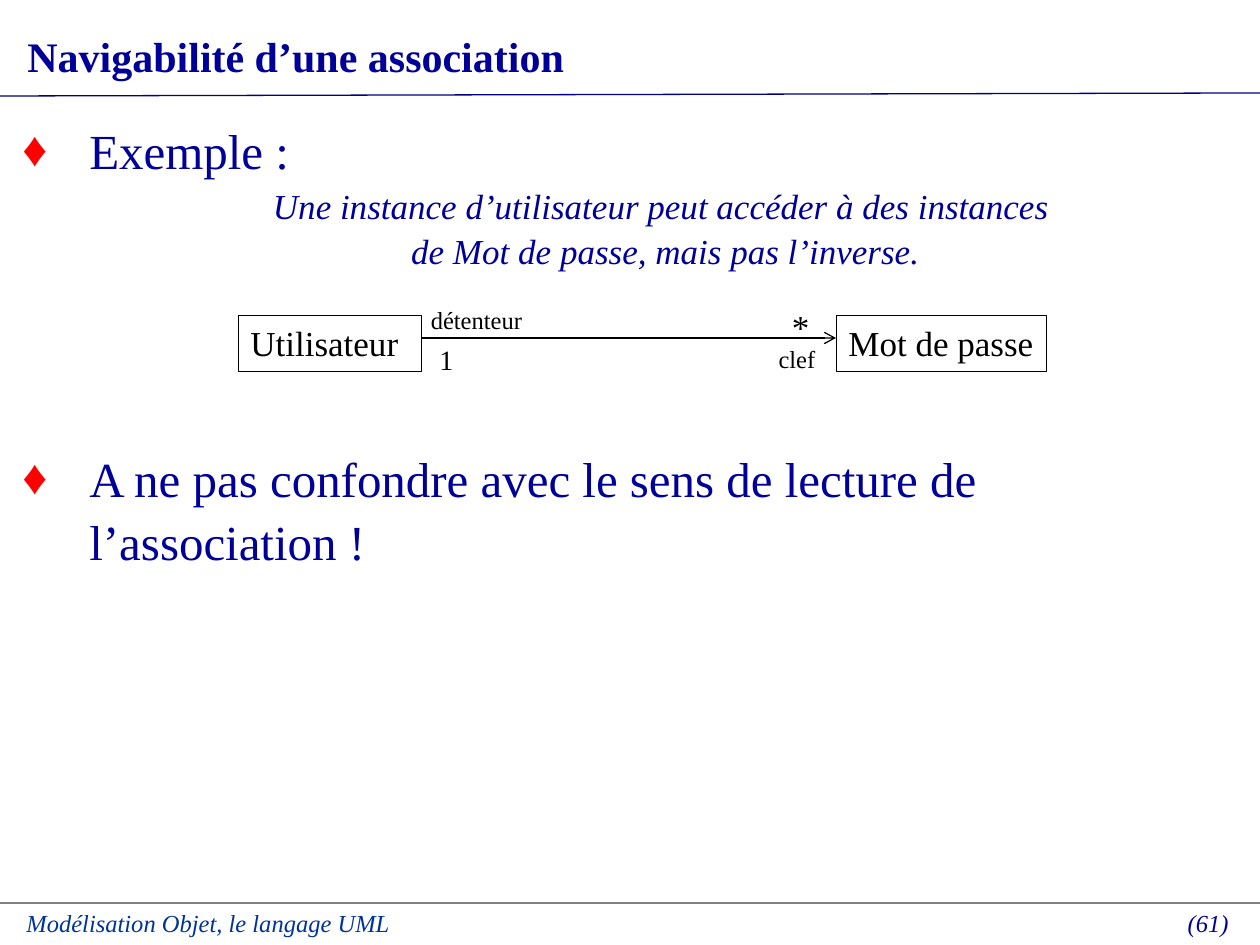
from dataclasses import dataclass

from lxml.etree import SubElement
from pptx import Presentation
from pptx.dml.color import RGBColor
from pptx.enum.shapes import MSO_CONNECTOR as Connector, MSO_SHAPE as Shape
from pptx.enum.text import MSO_ANCHOR as Anchor, PP_ALIGN as Align
from pptx.oxml.ns import qn
from pptx.util import Emu, Pt

EMU_PER_PX = 914400 / 126
FONT = "Times New Roman"
NAVY, BLUE, BLACK = "000099", "003399", "000000"
BULLET_INDENT = 67


@dataclass
class Text:
    text: str
    left: int
    top: int
    width: int
    height: int
    size: int
    color: str = NAVY
    bold: bool = False
    italic: bool = False
    align: Align = Align.LEFT
    anchor: Anchor = Anchor.TOP
    wrap: bool = True
    spacing: float = 1.0
    bullet: bool = False


@dataclass
class Line:
    x1: int
    y1: int
    x2: int
    y2: int
    color: str
    weight: float
    arrow: bool = False


@dataclass
class ClassBox:
    name: str
    left: int
    width: int


def px(value: int) -> Emu:
    return Emu(round(value * EMU_PER_PX))


def rgb(color: str) -> RGBColor:
    return RGBColor.from_string(color)


def add_bullet(paragraph) -> None:
    properties = paragraph._p.get_or_add_pPr()
    properties.set("marL", str(px(BULLET_INDENT)))
    properties.set("indent", str(-px(BULLET_INDENT)))
    color = SubElement(properties, qn("a:buClr"))
    SubElement(color, qn("a:srgbClr"), val="FF0000")
    SubElement(properties, qn("a:buFont"), typeface=FONT)
    SubElement(properties, qn("a:buChar"), char="♦")


def write_text(shape, item: Text) -> None:
    frame = shape.text_frame
    frame.word_wrap = item.wrap
    frame.vertical_anchor = item.anchor
    frame.text = item.text
    paragraph = frame.paragraphs[0]
    paragraph.alignment = item.align
    paragraph.line_spacing = item.spacing
    if item.bullet:
        add_bullet(paragraph)
    for run in paragraph.runs:
        run.font.name = FONT
        run.font.size = Pt(item.size)
        run.font.bold = item.bold
        run.font.italic = item.italic
        run.font.color.rgb = rgb(item.color)


def add_text(slide, item: Text) -> None:
    shape = slide.shapes.add_textbox(
        px(item.left), px(item.top), px(item.width), px(item.height))
    write_text(shape, item)


def add_line(slide, line: Line) -> None:
    connector = slide.shapes.add_connector(
        Connector.STRAIGHT, px(line.x1), px(line.y1), px(line.x2), px(line.y2))
    connector.line.color.rgb = rgb(line.color)
    connector.line.width = Pt(line.weight)
    if line.arrow:
        SubElement(connector.line._get_or_add_ln(), qn("a:tailEnd"), type="arrow")
    SubElement(connector._element.spPr, qn("a:effectLst"))


def add_class_box(slide, box: ClassBox) -> None:
    item = Text(box.name, box.left, 315, box.width, 56, 20, BLACK)
    shape = slide.shapes.add_shape(
        Shape.RECTANGLE, px(item.left), px(item.top), px(item.width), px(item.height))
    shape.shadow.inherit = False
    shape.fill.background()
    shape.line.color.rgb = rgb(BLACK)
    shape.line.width = Pt(0.5)
    write_text(shape, item)
    shape.text_frame.margin_right = 0


LINES = [
    Line(0, 903, 1260, 903, BLUE, 1),
    Line(0, 903, 1260, 903, "808080", 0.75),
    Line(0, 96, 1260, 93, "000080", 0.75),
    Line(421, 338, 836, 338, BLACK, 0.75, arrow=True),
]

TEXTS = [
    Text("Navigabilité d’une association", 15, 24, 1229, 63, 24,
         bold=True, anchor=Anchor.MIDDLE),
    Text("Exemple :", 10, 110, 1236, 68, 28, spacing=1.07, bullet=True),
    Text("Une instance d’utilisateur peut accéder à des instances\v"
         " de Mot de passe, mais pas l’inverse.", 86, 175, 1150, 100, 20,
         italic=True, align=Align.CENTER, spacing=1.07),
    Text("A ne pas confondre avec le sens de lecture de l’association !",
         10, 438, 1236, 132, 28, spacing=1.07, bullet=True),
    Text("Modélisation Objet, le langage UML", 14, 902, 714, 38, 14, BLUE, italic=True),
    Text("(61)", 810, 902, 431, 38, 14, italic=True, align=Align.RIGHT),
]

CLASS_BOXES = [ClassBox("Utilisateur", 238, 183), ClassBox("Mot de passe", 836, 211)]

LABELS = [
    Text("détenteur", 418, 299, 117, 42, 14),
    Text("*", 779, 299, 43, 54, 20),
    Text("1", 427, 336, 39, 47, 16),
    Text("clef", 766, 338, 62, 42, 14),
]


def main() -> None:
    presentation = Presentation()
    presentation.slide_width = px(1260)
    presentation.slide_height = px(945)
    slide = presentation.slides.add_slide(presentation.slide_layouts[6])
    for line in LINES:
        add_line(slide, line)
    for item in TEXTS:
        add_text(slide, item)
    for box in CLASS_BOXES:
        add_class_box(slide, box)
    for label in LABELS:
        label.color, label.align, label.wrap = BLACK, Align.CENTER, False
        add_text(slide, label)
    presentation.save("out.pptx")


if __name__ == "__main__":
    main()
